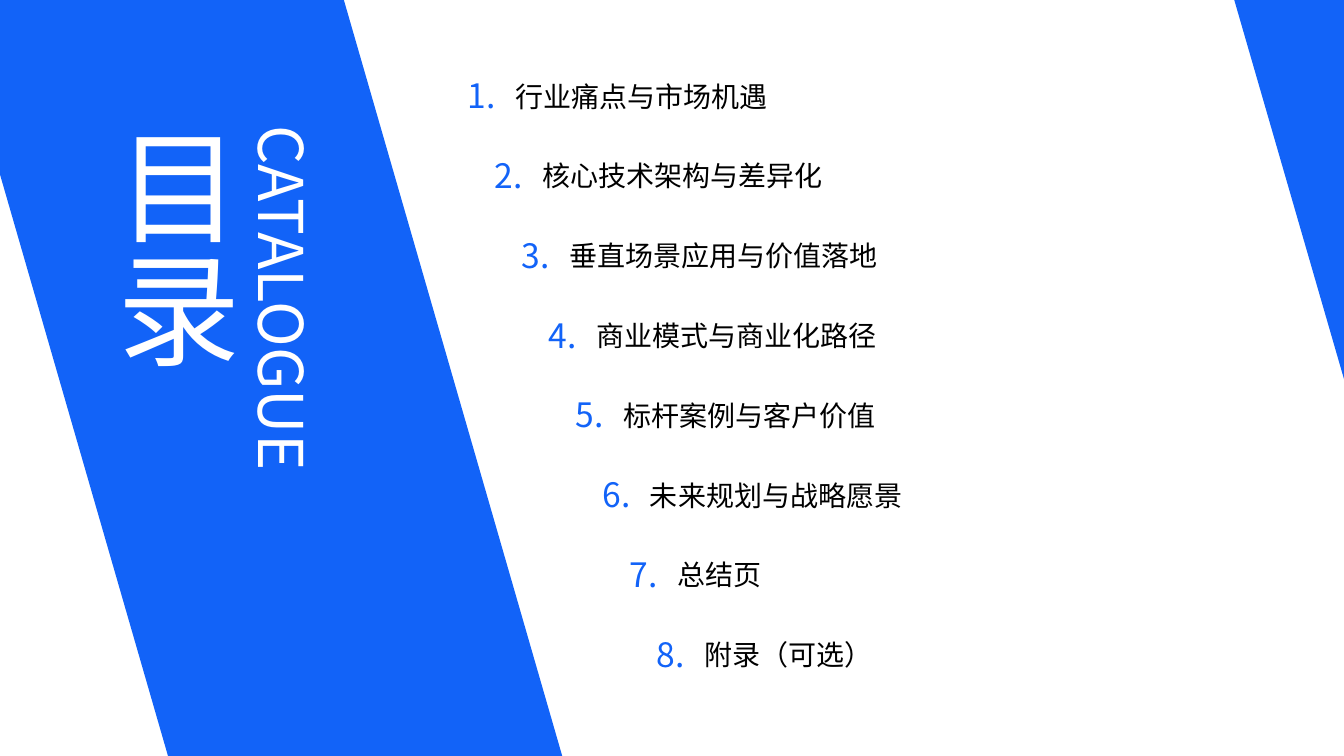
import pptx
import pptx.dml.color
import pptx.enum.shapes
import pptx.enum.text
import pptx.oxml.ns
import pptx.util
import lxml.etree

Pt = pptx.util.Pt
Anchor = pptx.enum.text.MSO_ANCHOR
COLORS = {"blue": "1263F8", "white": "FFFFFF", "black": "000000"}
FONT = "Noto Sans CJK SC"
TITLE_ONLY_LAYOUT = 5

CHAPTERS = [
    "行业痛点与市场机遇",
    "核心技术架构与差异化",
    "垂直场景应用与价值落地",
    "商业模式与商业化路径",
    "标杆案例与客户价值",
    "未来规划与战略愿景",
    "总结页",
    "附录（可选）",
]
# Each chapter steps down and to the right, following the slanted band.
STEP_X, STEP_Y = 19.28, 57
NUMBER_LEFT, NUMBER_TOP = 334, 49.7
CHAPTER_LEFT, CHAPTER_TOP = 367.9, 51.8


def color(name):
    return pptx.dml.color.RGBColor.from_string(COLORS[name])


class SlideBuilder:
    """Adds elements in one shared style to the current slide."""

    def __init__(self, slide):
        self.slide = slide

    def band(self, left, top, width, height):
        """Add a blue parallelogram that leans to the left."""
        shape = self.slide.shapes.add_shape(
            pptx.enum.shapes.MSO_SHAPE.PARALLELOGRAM,
            Pt(left), Pt(top), Pt(width), Pt(height))
        shape.adjustments[0] = 0.364
        shape.element.spPr.get_or_add_xfrm().set("flipH", "1")
        shape.shadow.inherit = False
        shape.fill.solid()
        shape.fill.fore_color.rgb = color("blue")
        shape.line.fill.background()

    def fill_text(self, shape, text, size, color_name, spacing=1.1,
                  anchor=Anchor.TOP, vertical=False):
        frame = shape.text_frame
        frame.text = text
        frame.word_wrap = True
        frame.auto_size = pptx.enum.text.MSO_AUTO_SIZE.NONE
        frame.vertical_anchor = anchor
        frame.margin_left = frame.margin_right = 0
        frame.margin_top = frame.margin_bottom = 0
        if vertical:
            frame._txBody.bodyPr.set("vert", "eaVert")
        paragraph = frame.paragraphs[0]
        paragraph.alignment = pptx.enum.text.PP_ALIGN.LEFT
        paragraph.line_spacing = spacing
        font = paragraph.runs[0].font
        font.size = Pt(size)
        font.name = FONT
        font.color.rgb = color(color_name)
        east_asian = lxml.etree.SubElement(font._element, pptx.oxml.ns.qn("a:ea"))
        east_asian.set("typeface", FONT)

    def text(self, left, top, width, height, *content, **style):
        shape = self.slide.shapes.add_textbox(Pt(left), Pt(top), Pt(width), Pt(height))
        self.fill_text(shape, *content, **style)

    def title(self, left, top, width, height, *content, **style):
        """Place the title placeholder in front of the shapes added so far."""
        shape = self.slide.shapes.title
        shape.left, shape.top = Pt(left), Pt(top)
        shape.width, shape.height = Pt(width), Pt(height)
        self.fill_text(shape, *content, **style)
        shape.element.getparent().append(shape.element)


def main():
    presentation = pptx.Presentation()
    presentation.slide_width, presentation.slide_height = Pt(960), Pt(540)
    layout = presentation.slide_layouts[TITLE_ONLY_LAYOUT]
    builder = SlideBuilder(presentation.slides.add_slide(layout))

    builder.band(-38.9, -10.1, 442.8, 558)
    builder.text(187.9, 89.3, 46.1, 323.3, "CATALOGUE", 44, "white", vertical=True)
    builder.title(86.4, 89.3, 101.5, 254.9, "目录", 88, "white", vertical=True)

    for index, chapter in enumerate(CHAPTERS):
        shift_x, shift_y = index * STEP_X, index * STEP_Y
        builder.text(NUMBER_LEFT + shift_x, NUMBER_TOP + shift_y, 31, 33.8,
                     f"{index + 1}.", 24, "blue", anchor=Anchor.MIDDLE)
        builder.text(CHAPTER_LEFT + shift_x, CHAPTER_TOP + shift_y, 404.6, 40.3,
                     chapter, 20, "black", spacing=1.2)

    builder.band(880.6, -3.6, 229, 288)
    presentation.save("out.pptx")


if __name__ == "__main__":
    main()
